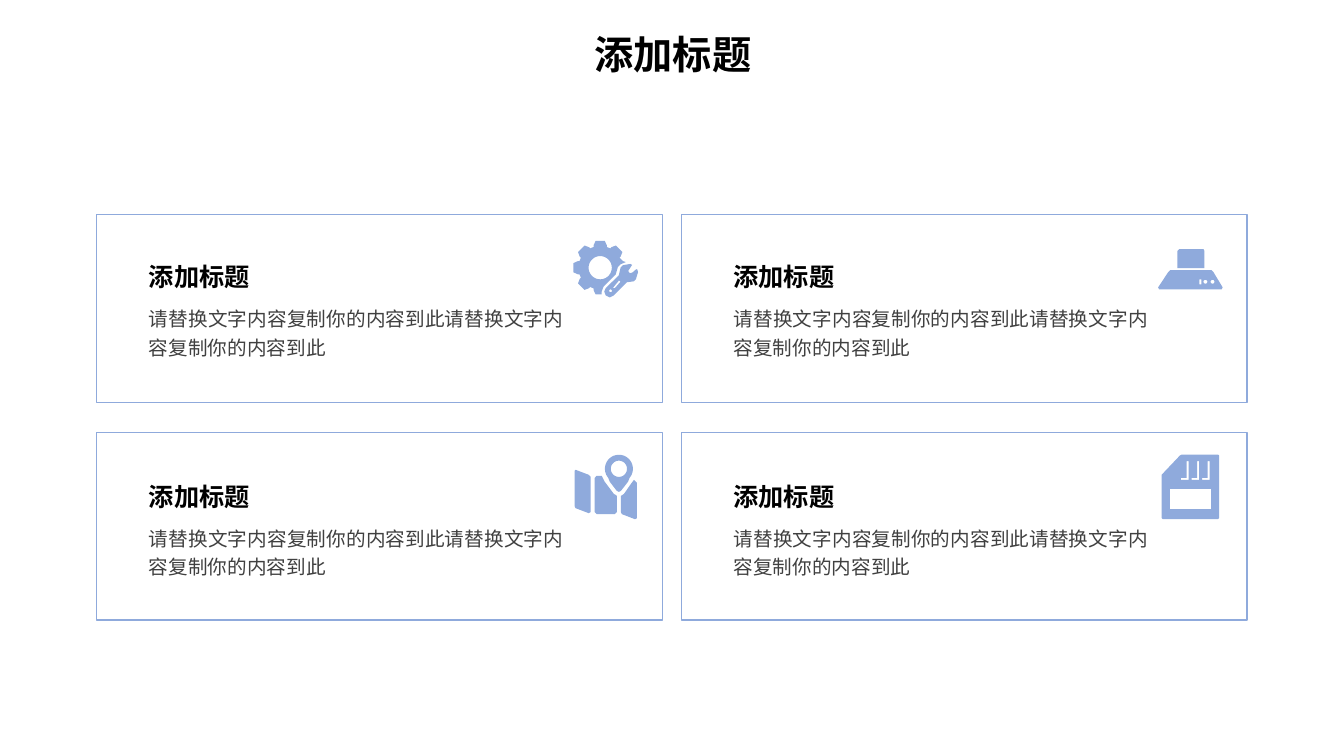
import math

import lxml.etree
import pptx
import pptx.dml.color
import pptx.enum.shapes
import pptx.enum.text
import pptx.oxml.ns
import pptx.util

Pt = pptx.util.Pt
ALIGN = pptx.enum.text.PP_ALIGN
BLUE = pptx.dml.color.RGBColor(0x8F, 0xAA, 0xDC)
BLACK = pptx.dml.color.RGBColor(0, 0, 0)
GREY = pptx.dml.color.RGBColor(0x40, 0x40, 0x40)
FONT = "Noto Sans CJK SC"

CARD_W, CARD_H = 404, 134
COL_PITCH, ROW_PITCH = 417.6, 155.5
CARD_TITLE = "添加标题"
CARD_BODY = "请替换文字内容复制你的内容到此" * 2


def write_text(sp, text, size=14, color=BLACK, bold=False, align=ALIGN.JUSTIFY, spacing=1.2):
    tf = sp.text_frame
    tf.word_wrap = True
    tf.auto_size = pptx.enum.text.MSO_AUTO_SIZE.NONE
    tf.vertical_anchor = pptx.enum.text.MSO_ANCHOR.MIDDLE
    p = tf.paragraphs[0]
    p.alignment = align
    p.line_spacing = spacing
    r = p.add_run()
    r.text = text
    r.font.size = Pt(size)
    r.font.bold = bold
    r.font.color.rgb = color
    r.font.name = FONT
    ea = lxml.etree.SubElement(r._r.get_or_add_rPr(), pptx.oxml.ns.qn("a:ea"))
    ea.set("typeface", FONT)


# Outlines, in points from the top left corner of each icon
def arc(cx, cy, radius, start=0, end=360, steps=36):
    angles = [math.radians(start + (end - start) * i / steps) for i in range(steps + 1)]
    return [(cx + radius * math.cos(a), cy + radius * math.sin(a)) for a in angles]


def rect(left, top, right, bottom):
    return [(left, top), (right, top), (right, bottom), (left, bottom)]


def gear_tooth(center, eighth):
    a = math.radians(45 * eighth)
    tooth = [(-4.7, -14.8), (-4.7, -16), (-3.3, -19.1), (3.3, -19.1), (4.7, -16), (4.7, -14.8)]
    return [(center + x * math.cos(a) - y * math.sin(a),
             center + x * math.sin(a) + y * math.cos(a)) for x, y in tooth]


def gear_icon():
    center = 19.1
    gear = gear_tooth(center, -4)[3:]
    for eighth in range(-3, 2):
        gear += gear_tooth(center, eighth)
    gear += [(35.3, 14.4), (37.4, 15.1), (33.8, 16.6), (31.7, 18.7), (30.2, 23.8),
             (21.6, 32.4), (20.2, 36), (20.2, 38.2)]
    wrench = [(40.6, 16.4), (41.9, 17.1), (39.1, 21.4), (39.8, 22.6), (41, 23), (42.3, 22.4),
              (44.8, 20.2), (45.6, 20.3), (46.1, 22.3), (44.6, 27.3), (43.2, 28.8),
              (38.2, 29.5), (28.8, 38.9), (25.9, 40.3), (23, 38.9), (22, 36), (23, 33.8),
              (32.4, 24.5), (33.7, 18.9), (35.3, 17.3)]
    slot = [(32.5, 28.2), (33.7, 29), (29.5, 33.8), (28.2, 33.5)]
    return 46.1, 40.3, [gear, arc(center, center, 8.3), wrench, slot, arc(26.5, 35.6, 1)]


def projector_icon():
    base = [(8.6, 15.1), (38.2, 15.1), (39.6, 16.6), (46.1, 27.4), (45.4, 28.8),
            (0.7, 28.8), (0, 27.4), (7.2, 16.6)]
    screen = [(13.7, 13.7), (13.7, 1.4), (15.1, 0), (32.4, 0), (33.1, 1.4), (33.1, 13.7)]
    return 46.1, 28.8, [base, screen, rect(29.5, 21.6, 30.9, 25.2),
                        arc(33.8, 23.4, 1.4), arc(38.9, 23.4, 1.4)]


def map_icon():
    pin = arc(31.7, 10.1, 10, 140, 400) + [(38.2, 19.4), (33.1, 25.9), (31.7, 26.6),
                                           (30.2, 25.9), (25.2, 19.4)]
    left = [(0.7, 10.8), (10.1, 14.4), (11.5, 15.8), (11.5, 41), (10.1, 41.8),
            (0.7, 38.2), (0, 36.7), (0, 11.5)]
    middle = [(15.8, 15.1), (19.4, 15.1), (21.6, 19.4), (28.1, 28.1), (29.5, 28.8),
              (30.2, 29.5), (30.2, 41), (28.8, 42.5), (15.8, 42.5), (14.4, 41), (14.4, 16.6)]
    right = [(42.5, 18), (44.6, 20.2), (44.6, 45.4), (43.2, 46.1), (33.8, 42.5),
             (33.1, 41), (33.1, 29.5), (35.3, 28.1), (40.3, 20.9)]
    return 44.6, 46.1, [pin, arc(31.7, 10.1, 5.8), left, middle, right]


def memory_card_icon():
    body = [(14.4, 0), (40.3, 0), (41, 0.7), (41, 45.4), (40.3, 46.1),
            (0.7, 46.1), (0, 45.4), (0, 14.4), (13, 0.7)]
    contact = [(0, 16.6), (4, 16.6), (4, 4.7), (5.4, 4.7), (5.4, 18), (0, 18)]
    contacts = [[(13.8 + 7.55 * i + x, y) for x, y in contact] for i in range(3)]
    return 41, 46.1, [body, rect(5.8, 24.5, 35.3, 38.9)] + contacts


def add_icon(slide, icon, cx, cy):
    width, height, outlines = icon
    left, top = cx - width / 2, cy - height / 2
    placed = [[(Pt(left + x), Pt(top + y)) for x, y in outline] for outline in outlines]
    builder = slide.shapes.build_freeform(*placed[0][0])
    for outline in placed:
        builder.move_to(*outline[0])
        builder.add_line_segments(outline[1:], close=True)
    sp = builder.convert_to_shape()
    sp.shadow.inherit = False
    sp.fill.solid()
    sp.fill.fore_color.rgb = BLUE
    sp.line.fill.background()


def add_card(slide, left, top, icon, text_top):
    # Frame
    frame = slide.shapes.add_shape(pptx.enum.shapes.MSO_SHAPE.RECTANGLE,
                                   Pt(left), Pt(top), Pt(CARD_W), Pt(CARD_H))
    frame.shadow.inherit = False
    frame.fill.background()
    frame.line.color.rgb = BLUE
    frame.line.width = Pt(1)
    add_icon(slide, icon, left + 363.6, top + 38.9)
    # Heading and body text
    text_left = left + 30.2
    heading = slide.shapes.add_textbox(Pt(text_left), Pt(top + text_top), Pt(161.3), Pt(32.4))
    write_text(heading, CARD_TITLE, size=18, bold=True)
    body = slide.shapes.add_textbox(Pt(text_left), Pt(top + text_top + 33.1), Pt(310.3), Pt(48.2))
    write_text(body, CARD_BODY, color=GREY)


def add_title(slide, left, top, width, height):
    title = slide.shapes.title
    title.left, title.top, title.width, title.height = Pt(left), Pt(top), Pt(width), Pt(height)
    write_text(title, "添加标题", size=28, bold=True, align=ALIGN.CENTER, spacing=1.0)


def main():
    prs = pptx.Presentation()
    prs.slide_width, prs.slide_height = Pt(960), Pt(540)
    slide = prs.slides.add_slide(prs.slide_layouts[5])
    add_title(slide, 0.7, 18, 960, 41)
    # Two by two grid of cards
    rows = [(25.8, [gear_icon(), projector_icon()]),
            (27.3, [map_icon(), memory_card_icon()])]
    for row, (text_top, icons) in enumerate(rows):
        for col, icon in enumerate(icons):
            add_card(slide, 69.1 + col * COL_PITCH, 153.4 + row * ROW_PITCH, icon, text_top)
    prs.save("out.pptx")


if __name__ == "__main__":
    main()
